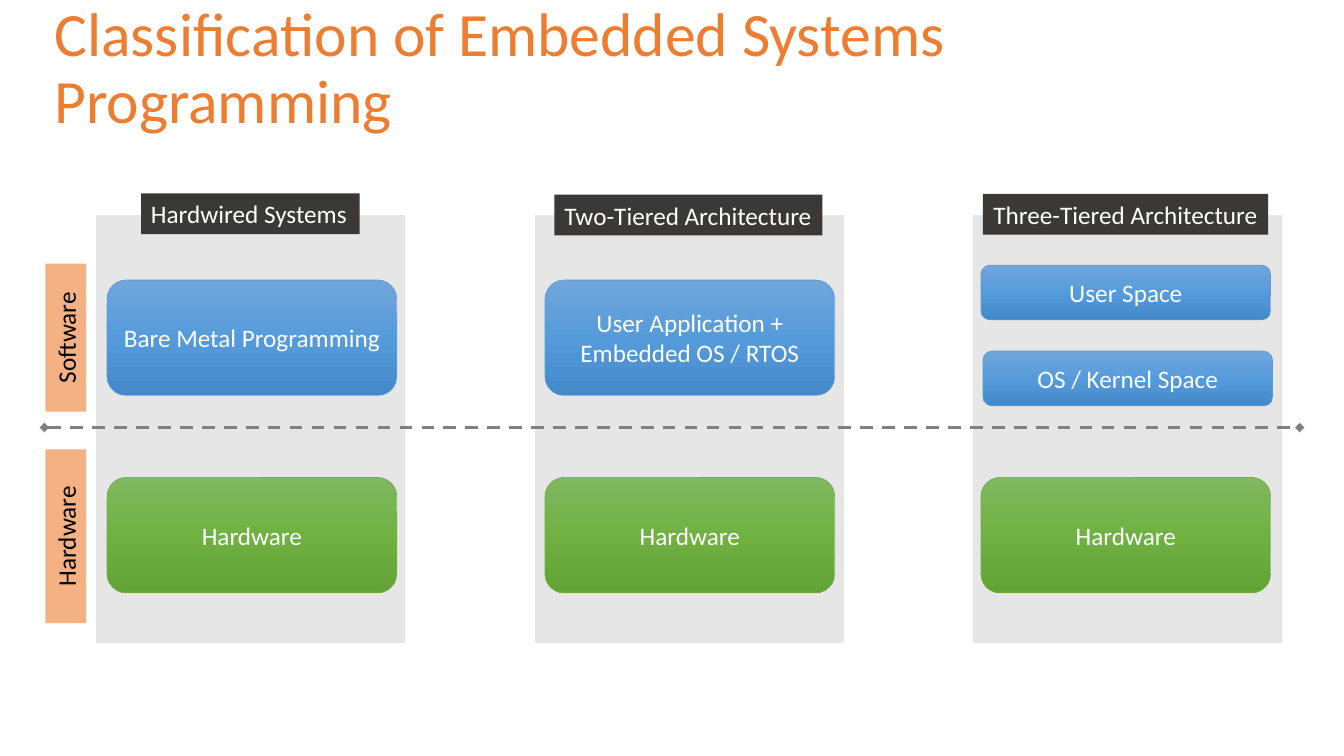
"""Build a slide that classifies embedded systems programming by architecture."""
from copy import deepcopy

from lxml import etree
from pptx import Presentation
from pptx.dml.color import RGBColor
from pptx.enum.dml import MSO_LINE
from pptx.enum.shapes import MSO_CONNECTOR, MSO_SHAPE
from pptx.enum.text import MSO_ANCHOR, MSO_AUTO_SIZE, PP_ALIGN
from pptx.oxml.ns import qn
from pptx.util import Pt

RECT, ROUNDED = MSO_SHAPE.RECTANGLE, MSO_SHAPE.ROUNDED_RECTANGLE
LEFT, CENTER = PP_ALIGN.LEFT, PP_ALIGN.CENTER
MIDDLE = MSO_ANCHOR.MIDDLE
FONT = "Calibri"

TITLE = "Classification of Embedded Systems Programming"
BLUE = (("71A6DB", "559BDB", "448ACA"), "5B9BD5")
GREEN = (("81B861", "6FB242", "62A336"), "70AD47")

TALL, SHORT = 82.4, 39
SOFTWARE_TOP, HARDWARE_TOP = 200, 341
SYSTEMS = [
    {"name": "Hardwired Systems", "tag": (100.8, 138.1, 156.2), "align": LEFT, "tier_left": 76.5,
     "software": [("Bare Metal Programming", 0, SOFTWARE_TOP, TALL)]},
    {"name": "Two-Tiered Architecture", "tag": (396, 139, 191.5), "align": LEFT, "tier_left": 389.3,
     "software": [("User Application + Embedded OS / RTOS", 0, SOFTWARE_TOP, TALL)]},
    {"name": "Three-Tiered Architecture", "tag": (702, 138.5, 203.8), "align": CENTER, "tier_left": 700.7,
     "software": [("User Space", 0, 189.4, SHORT), ("OS / Kernel Space", 1.4, 250.8, SHORT)]},
]
SIDE_LABELS = [("Software", 241.2, 105.8), ("Hardware", 383, 124)]

COLUMN_LEFT, COLUMN_TOP, COLUMN_PITCH = 67.9, 152.8, 313.2
COLUMN_WIDTH, COLUMN_HEIGHT = 222.2, 307.1
TIER_WIDTH, LABEL_HEIGHT, SIDE_CENTER = 206.9, 29.1, 47
DIVIDER_LEFT, DIVIDER_RIGHT, DIVIDER_Y = 31.7, 928.4, 305.4


def rgb(value):
    return RGBColor.from_string(value)


def style_text(frame, text, size, color, align):
    frame.text = text
    frame.vertical_anchor = MIDDLE
    paragraph = frame.paragraphs[0]
    paragraph.alignment = align
    paragraph.font.name = FONT
    paragraph.font.size = Pt(size)
    paragraph.font.color.rgb = rgb(color)
    return paragraph


def add_block(kind, left, top, width, height, fill=None):
    block = slide.shapes.add_shape(kind, Pt(left), Pt(top), Pt(width), Pt(height))
    block.shadow.inherit = False
    block.line.fill.background()
    if fill:
        block.fill.solid()
        block.fill.fore_color.rgb = rgb(fill)
    return block


def outline(block, color, width):
    block.line.color.rgb = rgb(color)
    block.line.width = Pt(width)


def add_tier(text, left, top, height, palette):
    shades, edge = palette
    tier = add_block(ROUNDED, left, top, TIER_WIDTH, height)
    tier.fill.gradient()
    tier.fill.gradient_angle = 270
    stop_list = next(tier._element.iter(qn("a:gsLst")))
    stop_list.append(deepcopy(stop_list[0]))
    for stop, shade, position in zip(tier.fill.gradient_stops, shades, (0, 0.5, 1)):
        stop.color.rgb = rgb(shade)
        stop.position = position
    outline(tier, edge, 0.5)
    style_text(tier.text_frame, text, 18, "FFFFFF", CENTER)


def add_divider():
    divider = slide.shapes.add_connector(
        MSO_CONNECTOR.STRAIGHT, Pt(DIVIDER_LEFT), Pt(DIVIDER_Y), Pt(DIVIDER_RIGHT), Pt(DIVIDER_Y))
    outline(divider, "808080", 2.25)
    divider.line.dash_style = MSO_LINE.DASH
    properties = divider._element.spPr
    for end in ("a:headEnd", "a:tailEnd"):
        etree.SubElement(properties.find(qn("a:ln")), qn(end), type="diamond")
    etree.SubElement(properties, qn("a:effectLst"))


deck = Presentation()
deck.slide_width, deck.slide_height = Pt(960), Pt(540)
slide = deck.slides.add_slide(deck.slide_layouts[5])

title = slide.shapes.title
title.left, title.top, title.width, title.height = Pt(31.7), Pt(13.7), Pt(897), Pt(72.7)
style_text(title.text_frame, TITLE, 44, "ED7D31", LEFT).line_spacing = 0.9
title.text_frame.auto_size = MSO_AUTO_SIZE.NONE

for index in range(len(SYSTEMS)):
    column = add_block(RECT, COLUMN_LEFT + index * COLUMN_PITCH, COLUMN_TOP,
                       COLUMN_WIDTH, COLUMN_HEIGHT, "E7E6E6")
    outline(column, "FFFFFF", 1.5)

for system in SYSTEMS:
    for text, shift, top, height in system["software"]:
        add_tier(text, system["tier_left"] + shift, top, height, BLUE)
    add_tier("Hardware", system["tier_left"], HARDWARE_TOP, TALL, GREEN)

add_divider()

for text, center, length in SIDE_LABELS:
    label = add_block(RECT, SIDE_CENTER - length / 2, center - LABEL_HEIGHT / 2,
                      length, LABEL_HEIGHT, "F4B183")
    label.rotation = 270
    style_text(label.text_frame, text, 18, "000000", CENTER)

for system in SYSTEMS:
    left, top, width = system["tag"]
    tag = add_block(RECT, left, top, width, LABEL_HEIGHT, "3B3838")
    style_text(tag.text_frame, system["name"], 18, "FFFFFF", system["align"])
    tag.text_frame.word_wrap = False

deck.save("out.pptx")
